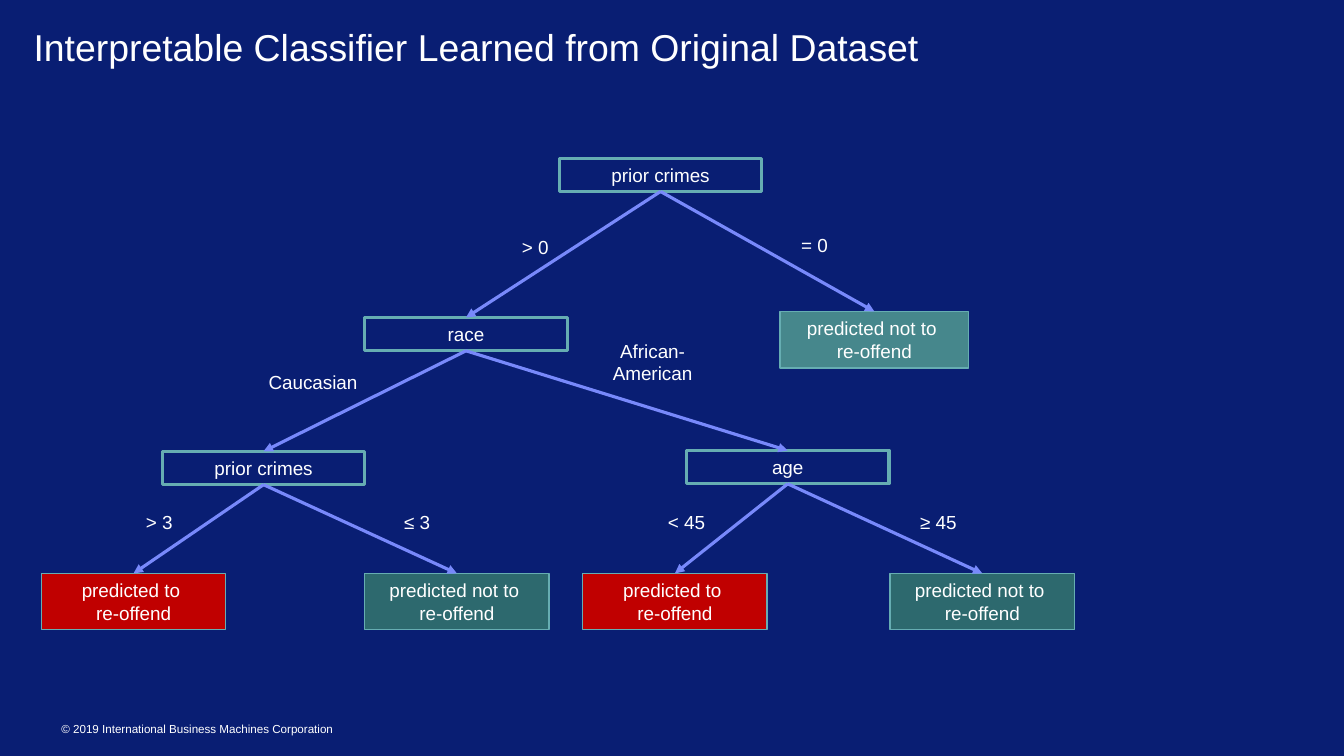
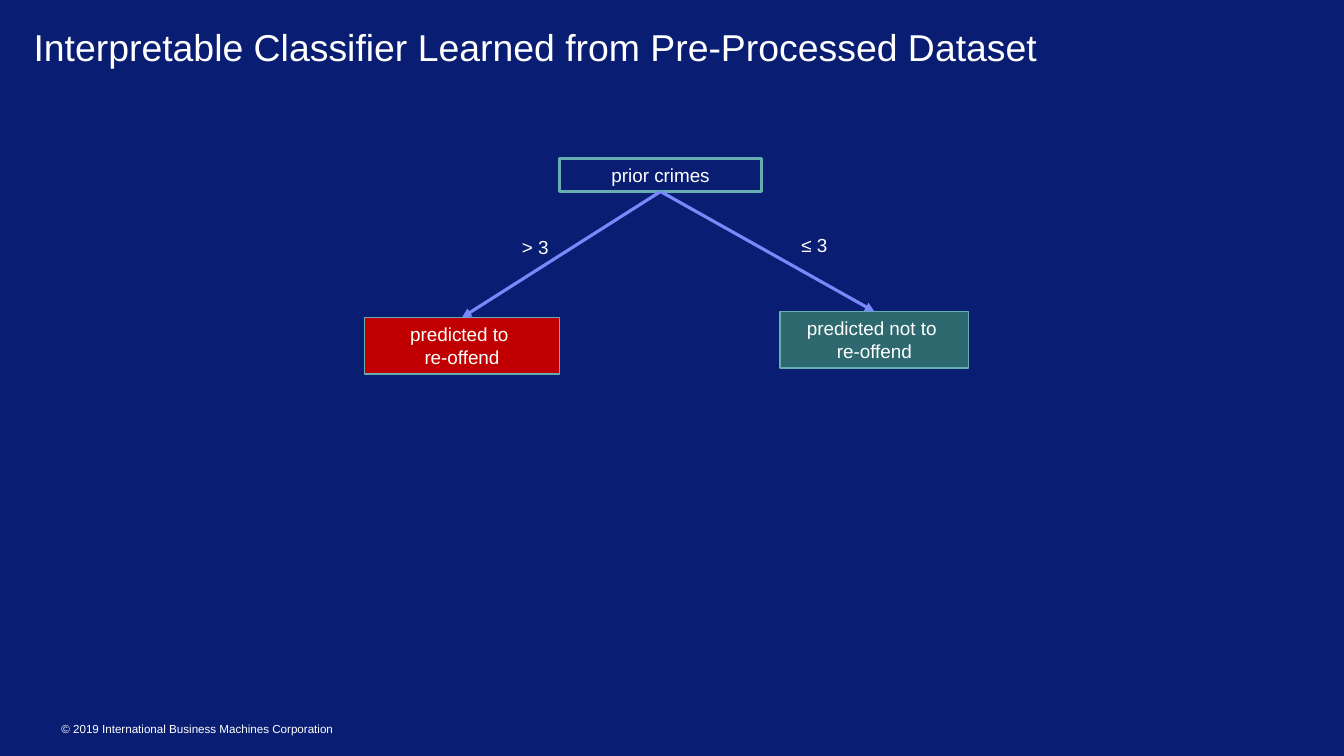
import pptx
import pptx.util
import pptx.dml.color
import pptx.enum.shapes
import pptx.enum.text
import pptx.oxml.ns
import lxml.etree

Pt = pptx.util.Pt
ALIGN = pptx.enum.text.PP_ALIGN
ANCHOR = pptx.enum.text.MSO_ANCHOR
COLORS = {"navy": "091E73", "white": "FFFFFF", "teal": "66ADB2", "arrow": "7889FB",
          "pale": "46878C", "dark": "2D696E", "red": "C00000"}
ROW = 23.8
TALL = 40.3
TREE = (29.5, 113)
YES = "predicted to \nre-offend"
NO = "predicted not to \nre-offend"

TITLE = {"size": 26.7, "inset": (0, 0, 50.4, 0), "align": ALIGN.LEFT,
         "anchor": ANCHOR.TOP, "space": 0.9}
FOOT = {"size": 8.3, "inset": (5, 2.9, 5, 2.9), "align": ALIGN.LEFT,
        "anchor": ANCHOR.TOP, "space": 1.0}
BODY = {"size": 13.5, "inset": (7.2, 3.6, 7.2, 3.6), "align": ALIGN.CENTER,
        "anchor": ANCHOR.MIDDLE, "space": 1.0}

ROOT = ("test", "prior crimes", 370, 0, 144.7)
FULL = {
    "title": "Interpretable Classifier Learned from Original Dataset",
    "nodes": {
        "root": ROOT,
        "race": ("test", "race", 231, 113.8, 144.7),
        "none": ("pale", NO, 527.8, 109.5, 134.6),
        "prior": ("test", "prior crimes", 86.4, 209.4, 144.7),
        "age": ("test", "age", 460.8, 208.8, 144.7),
        "many": ("red", YES, 0, 296.6, 131.8),
        "few": ("dark", NO, 231, 296.6, 131.8),
        "young": ("red", YES, 386.7, 296.6, 131.8),
        "old": ("dark", NO, 606.3, 296.6, 131.8),
    },
    "links": [
        ("root", "race", "> 0", 315.4, 51.2, 74.9, ROW),
        ("root", "none", "= 0", 514.8, 49.7, 74.9, ROW),
        ("race", "prior", "Caucasian", 139.7, 147.6, 108.7, ROW),
        ("race", "age", "African-American", 382.3, 125.3, 108.7, TALL),
        ("prior", "many", "> 3", 46.8, 247.7, 74.9, ROW),
        ("prior", "few", "≤ 3", 231, 247.7, 74.9, ROW),
        ("age", "young", "< 45", 423.4, 247.7, 74.9, ROW),
        ("age", "old", "≥ 45", 603.4, 247.7, 74.9, ROW),
    ],
}
SMALL = {
    "title": "Interpretable Classifier Learned from Pre-Processed Dataset",
    "nodes": {
        "root": ROOT,
        "many": ("red", YES, 231, 113.8, 139),
        "few": ("dark", NO, 527.8, 109.5, 134.6),
    },
    "links": [
        ("root", "many", "> 3", 315.4, 51.2, 74.9, ROW),
        ("root", "few", "≤ 3", 514.8, 49.7, 74.9, ROW),
    ],
}


def color(name):
    return pptx.dml.color.RGBColor.from_string(COLORS[name])


def apply(item, values):
    for key, value in values.items():
        setattr(item, key, value)


def write(shape, text, style):
    frame = shape.text_frame
    sides = ("margin_left", "margin_top", "margin_right", "margin_bottom")
    apply(frame, dict(zip(sides, map(Pt, style["inset"]))))
    apply(frame, {"word_wrap": True, "vertical_anchor": style["anchor"]})
    para = frame.paragraphs[0]
    para.text = text
    apply(para, {"alignment": style["align"], "line_spacing": style["space"]})
    apply(para.font, {"size": Pt(style["size"]), "name": "Arial"})
    para.font.color.rgb = color("white")


def label(slide, box, text, style):
    write(slide.shapes.add_textbox(*map(Pt, box)), text, style)


def node(slide, box, kind, text):
    rect = pptx.enum.shapes.MSO_SHAPE.RECTANGLE
    shape = slide.shapes.add_shape(rect, *map(Pt, box))
    shape.shadow.inherit = False
    if kind == "test":
        shape.fill.background()
    else:
        shape.fill.solid()
        shape.fill.fore_color.rgb = color(kind)
    shape.line.color.rgb = color("teal")
    shape.line.width = Pt(2.25 if kind == "test" else 1)
    write(shape, text, BODY)
    return shape


def link(slide, start, end):
    kind = pptx.enum.shapes.MSO_CONNECTOR.STRAIGHT
    line = slide.shapes.add_connector(kind, 0, 0, 0, 0)
    line.begin_connect(start, 2)
    line.end_connect(end, 0)
    line.line.color.rgb = color("arrow")
    line.line.width = Pt(2.25)
    qn = pptx.oxml.ns.qn
    props = line.line._get_or_add_ln()
    lxml.etree.SubElement(props, qn("a:tailEnd"), type="triangle")
    lxml.etree.SubElement(props.getparent(), qn("a:effectLst"))


def tree(slide, left, top, nodes, links):
    shapes = {}
    for name, (kind, text, x, y, width) in nodes.items():
        height = ROW if kind == "test" else TALL
        shapes[name] = node(slide, (left + x, top + y, width, height), kind, text)
    for start, end, text, x, y, width, height in links:
        link(slide, shapes[start], shapes[end])
        label(slide, (left + x, top + y, width, height), text, BODY)


def page(deck, data):
    slide = deck.slides.add_slide(deck.slide_layouts[6])
    label(slide, (38.9, 512.6, 257, 15.8),
          "© 2019 International Business Machines Corporation", FOOT)
    label(slide, (24, 21, 870, 100.8), data["title"], TITLE)
    tree(slide, *TREE, data["nodes"], data["links"])


def main():
    deck = pptx.Presentation()
    apply(deck, {"slide_width": Pt(960), "slide_height": Pt(540)})
    fill = deck.slide_master.background.fill
    fill.solid()
    fill.fore_color.rgb = color("navy")
    for data in (FULL, SMALL):
        page(deck, data)
    deck.save("out.pptx")


if __name__ == "__main__":
    main()
